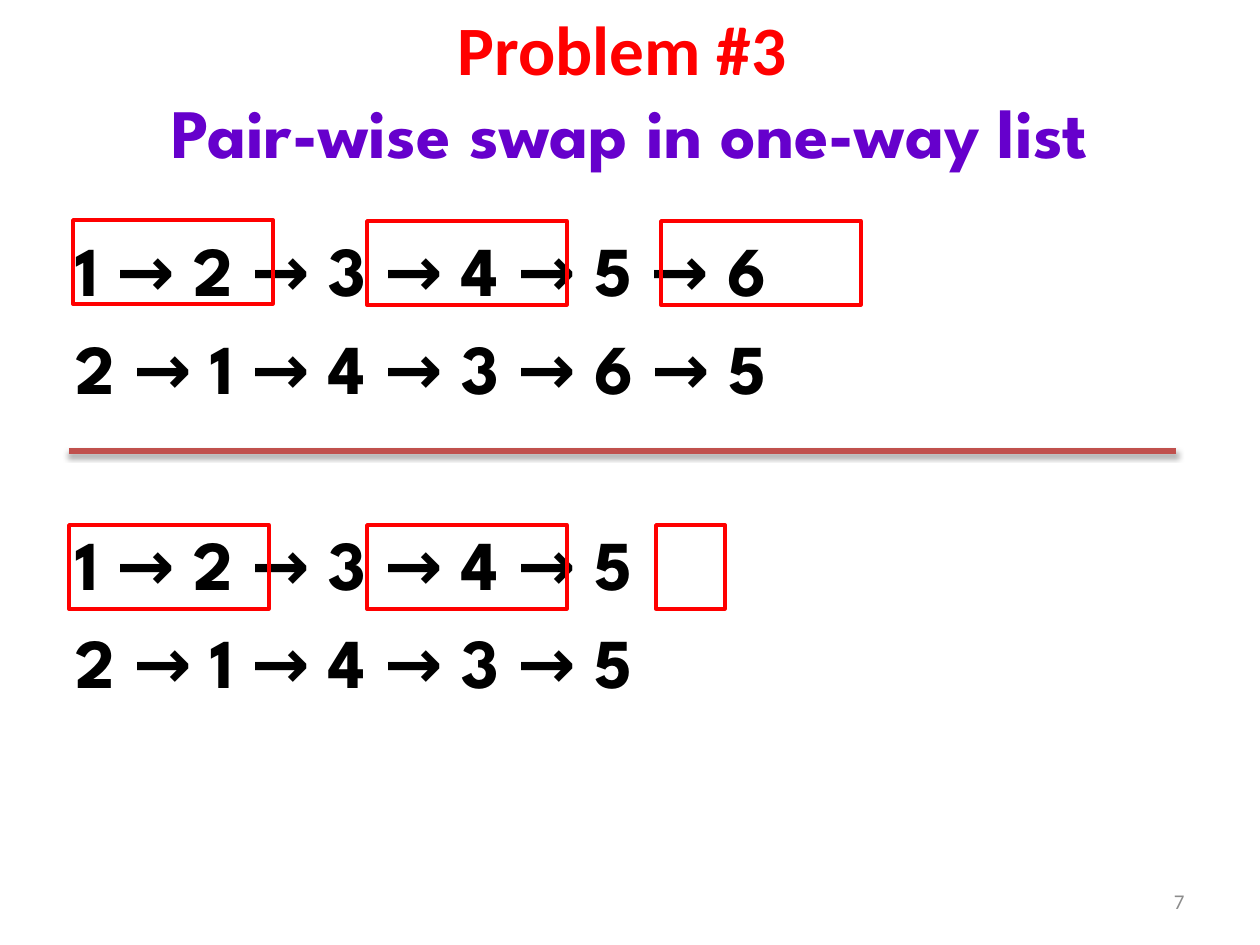
from lxml import etree
from pptx import Presentation
from pptx.dml.color import RGBColor
from pptx.enum.shapes import MSO_CONNECTOR, MSO_SHAPE
from pptx.enum.text import MSO_ANCHOR, PP_ALIGN
from pptx.oxml.ns import qn
from pptx.util import Pt

SCALE = 914400 // 126
STRAIGHT = MSO_CONNECTOR.STRAIGHT
RECTANGLE = MSO_SHAPE.RECTANGLE
TOP, MIDDLE = MSO_ANCHOR.TOP, MSO_ANCHOR.MIDDLE
LEFT, CENTER, RIGHT = PP_ALIGN.LEFT, PP_ALIGN.CENTER, PP_ALIGN.RIGHT
COLORS = {"red": "FF0000", "purple": "6600CC", "black": "000000",
          "rule": "C0504D", "gray": "8C8C8C"}


def add_frame(left, top, width, height, anchor):
    box = page.shapes.add_textbox(left * SCALE, top * SCALE, width * SCALE, height * SCALE)
    frame = box.text_frame
    frame.word_wrap = True
    frame.vertical_anchor = anchor
    return frame


def add_span(para, text, size, font, color, bold=True):
    span = para.add_run()
    span.text = text
    span.font.size = Pt(size)
    span.font.name = font
    span.font.bold = bold
    span.font.color.rgb = RGBColor.from_string(COLORS[color])


deck = Presentation()
deck.slide_width = 1260 * SCALE
deck.slide_height = 945 * SCALE
page = deck.slides.add_slide(deck.slide_layouts[6])

title = add_frame(63, 10, 1134, 158, MIDDLE).paragraphs[0]
title.alignment = CENTER
add_span(title, "Problem #3 ", 39.6, "Calibri", "red")
title.add_line_break()
add_span(title, "Pair-wise swap in one-way list", 39.6, "League Spartan", "purple")

lists = add_frame(63, 220, 1134, 624, TOP)
rows = [("123456", 8), ("214365", 8), ("12345", 64), ("21435", 8)]
for index, (nodes, gap) in enumerate(rows):
    para = lists.add_paragraph() if index else lists.paragraphs[0]
    para.alignment = LEFT
    para.space_before = Pt(gap)
    add_span(para, " → ".join(nodes), 40, "League Spartan", "black")

pairs = [(73, 220, 200), (367, 221, 200), (661, 221, 200),
         (69, 525, 200), (367, 525, 200), (656, 525, 69)]
for left, top, width in pairs:
    pair = page.shapes.add_shape(RECTANGLE, left * SCALE, top * SCALE, width * SCALE, 84 * SCALE)
    pair.shadow.inherit = False
    pair.fill.background()
    pair.line.color.rgb = RGBColor.from_string(COLORS["red"])
    pair.line.width = Pt(2)

rule = page.shapes.add_connector(STRAIGHT, 69 * SCALE, 451 * SCALE, 1176 * SCALE, 451 * SCALE)
rule.line.color.rgb = RGBColor.from_string(COLORS["rule"])
rule.line.width = Pt(3)
effects = etree.SubElement(rule.element.spPr, qn("a:effectLst"))
shadow = etree.SubElement(effects, qn("a:outerShdw"), blurRad=str(Pt(3.1)),
                          dist=str(Pt(1.8)), dir="5400000", rotWithShape="0")
shade = etree.SubElement(shadow, qn("a:srgbClr"), val=COLORS["black"])
etree.SubElement(shade, qn("a:alpha"), val="35000")

number = add_frame(903, 876, 294, 50, MIDDLE).paragraphs[0]
number.alignment = RIGHT
add_span(number, "7", 12, "Calibri", "gray", False)

deck.save("out.pptx")
